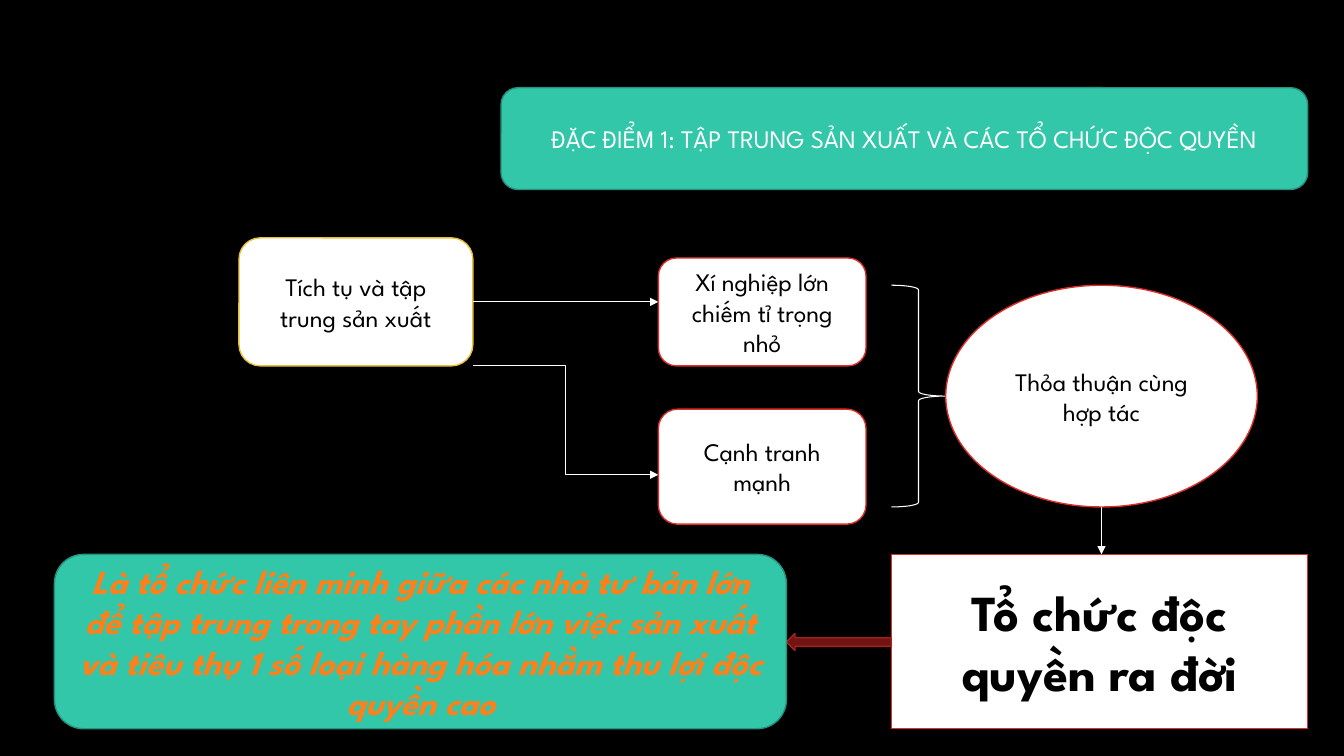
from dataclasses import dataclass
from typing import NamedTuple

from lxml.etree import SubElement
from pptx import Presentation
from pptx.dml.color import RGBColor
from pptx.enum.shapes import MSO_CONNECTOR as Link, MSO_SHAPE as Preset
from pptx.enum.text import MSO_ANCHOR as Anchor, PP_ALIGN as Align
from pptx.oxml.ns import qn
from pptx.util import Inches, Pt


@dataclass(frozen=True)
class Theme:
    font: str = "League Spartan"
    black: str = "000000"
    white: str = "FFFFFF"
    teal: str = "32C7A9"
    teal_edge: str = "25937D"
    gold: str = "E9BF35"
    red: str = "DF2E28"
    maroon: str = "721411"
    maroon_edge: str = "A5221E"
    orange: str = "FE801A"
    body: int = 18
    definition: int = 24
    result: int = 36
    edge: float = 1
    link: float = 0.75


class Box(NamedTuple):
    left: float
    top: float
    width: float
    height: float

    @property
    def right(self):
        return self.left + self.width

    @property
    def bottom(self):
        return self.top + self.height

    @property
    def center(self):
        return self.left + self.width / 2

    @property
    def middle(self):
        return self.top + self.height / 2


THEME = Theme()


def color(value):
    return RGBColor.from_string(value)


def add_figure(slide, preset, box, fill, edge, weight=THEME.edge):
    shape = slide.shapes.add_shape(preset, *map(Inches, box))
    shape.shadow.inherit = False
    if fill:
        shape.fill.solid()
        shape.fill.fore_color.rgb = color(fill)
    else:
        shape.fill.background()
    shape.line.color.rgb = color(edge)
    shape.line.width = Pt(weight)
    return shape


def add_card(slide, preset, box, text, edge, fill=THEME.white,
             ink=THEME.black, size=THEME.body, bold=False, italic=False):
    frame = add_figure(slide, preset, box, fill, edge).text_frame
    frame.word_wrap = True
    frame.vertical_anchor = Anchor.MIDDLE
    para = frame.paragraphs[0]
    para.text = text
    para.alignment = Align.CENTER
    font = para.font
    font.name, font.size = THEME.font, Pt(size)
    font.bold, font.italic = bold, italic
    font.color.rgb = color(ink)


def add_arrow(slide, start, end, kind=Link.STRAIGHT):
    arrow = slide.shapes.add_connector(kind, *map(Inches, (*start, *end)))
    arrow.line.color.rgb = color(THEME.white)
    arrow.line.width = Pt(THEME.link)
    SubElement(arrow.line._get_or_add_ln(), qn("a:tailEnd"), type="triangle")
    SubElement(arrow._element.spPr, qn("a:effectLst"))


def add_title(slide, box):
    add_card(slide, Preset.ROUNDED_RECTANGLE, box,
             "ĐẶC ĐIỂM 1: TẬP TRUNG SẢN XUẤT VÀ CÁC TỔ CHỨC ĐỘC QUYỀN",
             THEME.teal_edge, THEME.teal, THEME.white)


def add_causes(slide, box):
    card = Preset.FLOWCHART_ALTERNATE_PROCESS
    source = Box(box.left, box.top, 2.32, 1.27)
    effect_left = box.right - 2.06
    large_firms = Box(effect_left, box.top + 0.2, 2.06, 1.07)
    rivalry = Box(effect_left, box.bottom - 1.14, 2.06, 1.14)
    add_card(slide, card, source, "Tích tụ và tập trung sản xuất", THEME.gold)
    add_arrow(slide, (source.right, source.middle), (effect_left, source.middle))
    add_card(slide, card, large_firms, "Xí nghiệp lớn chiếm tỉ trọng nhỏ", THEME.red)
    add_arrow(slide, (source.right, source.bottom),
              (effect_left, rivalry.middle + 0.08), Link.ELBOW)
    add_card(slide, card, rivalry, "Cạnh tranh mạnh", THEME.red)


def add_agreement(slide, box):
    brace = box._replace(width=0.54)
    circle = Box(brace.right, box.top, box.width - brace.width, box.height)
    add_figure(slide, Preset.RIGHT_BRACE, brace, None, THEME.white, THEME.link)
    add_card(slide, Preset.OVAL, circle, "Thỏa thuận cùng hợp tác", THEME.red)
    return circle


def add_outcome(slide, box, entry):
    definition = box._replace(width=7.26)
    result = Box(box.right - 4.13, box.top, 4.13, box.height)
    arrow = Box(definition.right, box.middle - 0.08,
                result.left - definition.right, 0.17)
    add_arrow(slide, (entry.center, entry.bottom), (entry.center, box.top))
    add_card(slide, Preset.RECTANGLE, result, "Tổ chức độc quyền ra đời",
             THEME.red, size=THEME.result, bold=True)
    add_figure(slide, Preset.LEFT_ARROW, arrow, THEME.maroon, THEME.maroon_edge)
    add_card(slide, Preset.ROUNDED_RECTANGLE, definition,
             "Là tổ chức liên minh giữa các nhà tư bản lớn để tập trung trong tay "
             "phần lớn việc sản xuất và tiêu thụ 1 số loại hàng hóa nhằm thu lợi "
             "độc quyền cao",
             THEME.teal_edge, THEME.teal, THEME.orange, THEME.definition, True, True)


def build_monopoly_slide(deck):
    slide = deck.slides.add_slide(deck.slide_layouts[6])
    slide.background.fill.solid()
    slide.background.fill.fore_color.rgb = color(THEME.black)
    add_title(slide, Box(4.97, 0.87, 8, 1.01))
    add_causes(slide, Box(2.37, 2.36, 6.22, 2.84))
    circle = add_agreement(slide, Box(8.84, 2.83, 3.63, 2.2))
    add_outcome(slide, Box(0.54, 5.5, 12.43, 1.73), circle)


def main():
    deck = Presentation()
    deck.slide_width, deck.slide_height = Inches(13.33), Inches(7.5)
    build_monopoly_slide(deck)
    deck.save("out.pptx")


if __name__ == "__main__":
    main()
